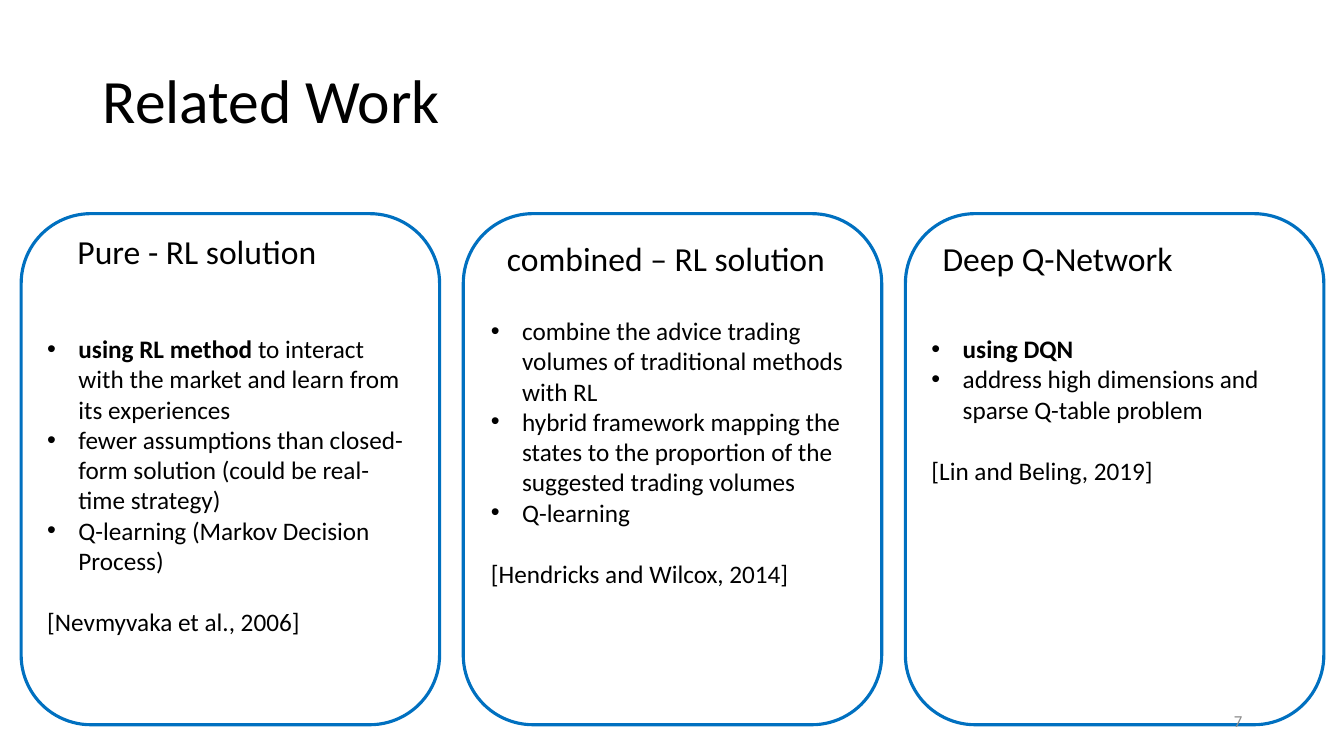
"""Build the Related Work slide: three outlined cards comparing RL solutions."""
from lxml import etree
from pptx import Presentation
from pptx.dml.color import RGBColor
from pptx.enum.shapes import MSO_SHAPE
from pptx.enum.text import MSO_ANCHOR, PP_ALIGN
from pptx.oxml.ns import qn
from pptx.util import Inches, Pt

TITLE = "Related Work"
PAGE = "7"
CARDS = [
    {
        "heading": ("Pure - RL solution", (0.67, 2.24, 2.75, 0.5)),
        "body": (0.37, 3.26, 3.79, 3.13),
        "bullets": [
            [("using RL method ", True),
             ("to interact with the market and learn from its experiences", False)],
            [("fewer assumptions than closed-form solution (could be real-time strategy)", False)],
            [("Q-learning (Markov Decision Process)", False)],
        ],
        "citation": "[Nevmyvaka et al., 2006]",
    },
    {
        "heading": ("combined – RL solution", (4.93, 2.31, 3.44, 0.5)),
        "body": (4.77, 3.08, 3.79, 2.83),
        "bullets": [
            [("combine the advice trading volumes of traditional methods with RL", False)],
            [("hybrid framework mapping the states to the proportion of the "
              "suggested trading volumes", False)],
            [("Q-learning", False)],
        ],
        "citation": "[Hendricks and Wilcox, 2014]",
    },
    {
        "heading": ("Deep Q-Network", (9.25, 2.31, 3.61, 0.5)),
        "body": (9.14, 3.26, 3.82, 1.92),
        "bullets": [
            [("using DQN", True)],
            [("address high dimensions and sparse Q-table problem", False)],
        ],
        "citation": "[Lin and Beling, 2019]",
    },
]

BLACK = RGBColor(0x00, 0x00, 0x00)
GRAY = RGBColor(0x8C, 0x8C, 0x8C)
BLUE = RGBColor(0x00, 0x70, 0xC0)
ROUNDED = MSO_SHAPE.ROUNDED_RECTANGLE
TOP, MIDDLE = MSO_ANCHOR.TOP, MSO_ANCHOR.MIDDLE
LEFT, RIGHT = PP_ALIGN.LEFT, PP_ALIGN.RIGHT
CARD_LEFT, CARD_TOP, CARD_W, CARD_H, CARD_STEP = 0.21, 2.12, 4.15, 5.07, 4.385
INDENT = Inches(0.31)
BODY_SIZE, CITATION_GAP = 18, Pt(22)


def add_box(s, place, anchor=TOP):
    tf = s.shapes.add_textbox(*map(Inches, place)).text_frame
    tf.word_wrap = True
    tf.vertical_anchor = anchor
    return tf


def add_run(p, text, size, color=BLACK, bold=False):
    r = p.add_run()
    r.text = text
    for name, value in {"name": "Calibri", "size": Pt(size), "bold": bold}.items():
        setattr(r.font, name, value)
    r.font.color.rgb = color


def add_line(s, text, place, size, anchor=TOP, color=BLACK, **formats):
    p = add_box(s, place, anchor).paragraphs[0]
    for name, value in formats.items():
        setattr(p, name, value)
    add_run(p, text, size, color)


def add_bullet(p):
    pPr = p._p.get_or_add_pPr()
    pPr.set("marL", str(INDENT))
    pPr.set("indent", str(-INDENT))
    etree.SubElement(pPr, qn("a:buFont"), typeface="Arial")
    etree.SubElement(pPr, qn("a:buChar"), char="•")


def add_card(s, column, card):
    place = (CARD_LEFT + column * CARD_STEP, CARD_TOP, CARD_W, CARD_H)
    sp = s.shapes.add_shape(ROUNDED, *map(Inches, place))
    sp.shadow.inherit = False
    sp.fill.background()
    sp.line.color.rgb = BLUE
    sp.line.width = Pt(2.25)

    heading, heading_place = card["heading"]
    add_line(s, heading, heading_place, 24)

    tf = add_box(s, card["body"])
    for i, runs in enumerate(card["bullets"]):
        p = tf.add_paragraph() if i else tf.paragraphs[0]
        add_bullet(p)
        for text, bold in runs:
            add_run(p, text, BODY_SIZE, bold=bold)
    p = tf.add_paragraph()
    p.space_before = CITATION_GAP
    add_run(p, card["citation"], BODY_SIZE)


def main():
    prs = Presentation()
    prs.slide_width, prs.slide_height = Inches(13.33), Inches(7.5)
    s = prs.slides.add_slide(prs.slide_layouts[6])
    add_line(s, TITLE, (0.92, 0.3, 11.5, 1.45), 44, MIDDLE, alignment=LEFT, line_spacing=0.9)
    for column, card in enumerate(CARDS):
        add_card(s, column, card)
    add_line(s, PAGE, (9.42, 6.95, 3, 0.4), 12, MIDDLE, GRAY, alignment=RIGHT)
    prs.save("out.pptx")


if __name__ == "__main__":
    main()
